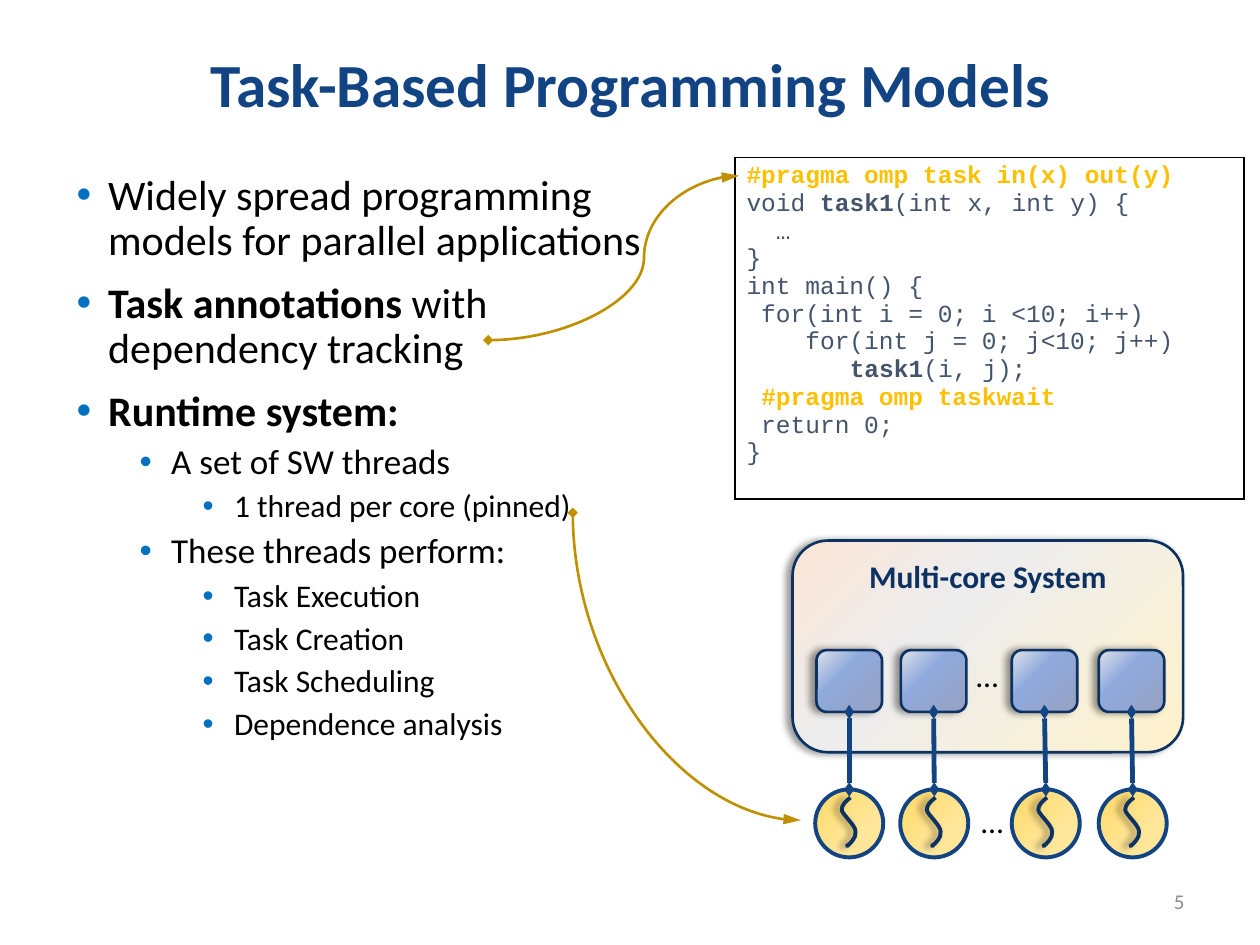
import copy
import pptx
import pptx.util
import pptx.dml.color
import pptx.enum.shapes
import pptx.enum.text
import pptx.oxml.ns
import pptx.oxml.xmlchemy

Pt = pptx.util.Pt
RGB = pptx.dml.color.RGBColor.from_string
Kind = pptx.enum.shapes.MSO_SHAPE
Link = pptx.enum.shapes.MSO_CONNECTOR
Align = pptx.enum.text.PP_ALIGN
Anchor = pptx.enum.text.MSO_ANCHOR
qn = pptx.oxml.ns.qn

# Content: ** marks bold text
TITLE = "Task-Based Programming Models"
POINTS = [
    (0, "Widely spread programming models for parallel applications"),
    (0, "**Task annotations **with dependency tracking"),
    (0, "**Runtime system:**"),
    (1, "A set of SW threads"),
    (2, "1 thread per core (pinned)"),
    (1, "These threads perform:"),
    (2, "Task Execution"),
    (2, "Task Creation"),
    (2, "Task Scheduling"),
    (2, "Dependence analysis"),
]
CODE = [
    "**#pragma omp task in(x) out(y)**",
    "void **task1**(int x, int y) {",
    "  …",
    "}",
    "int main() {",
    " for(int i = 0; i <10; i++)",
    "    for(int j = 0; j<10; j++)",
    "       **task1**(i, j);",
    " **#pragma omp taskwait**",
    " return 0;",
    "}",
]
SYSTEM, NUMBER = "Multi-core System", "5"

THEME = dict(
    font="Calibri", mono="Courier New", blue="124484", navy="0D3262",
    black="000000", white="FFFFFF", bullet="0070C0", code="44546A",
    pragma="FFC000", gold="BF9000", grey="8C8C8C",
    title=35, levels=(24, 20, 18), label=18, small=14, tiny=12,
    card=((0, "FFF2CC"), (.62, "EDEDED"), (1, "FBE5D6")),
    core=((0, "98A1C2"), (.62, "8FAADC"), (1, "E1E3EB")),
    thread=((0, "FFE699"), (.35, "FFE699"), (1, "FFD966")),
)

# Grid of 100 columns by 75 rows
deck = pptx.Presentation()
deck.slide_width, deck.slide_height = pptx.util.Inches(10), pptx.util.Inches(7.5)
UNIT = deck.slide_width / 100
# Centre lines of each core and of its thread
PAIRS = ((67.4, 67.4), (74.1, 74.15), (82.9, 83), (89.8, 89.9))
CORE_W, CORE_H, CORE_TOP = 5.2, 4.9, 51.6
DISC, DISC_TOP, WAVE_TOP = 5.4, 62.65, 63.3
DOTS = ((76.5, 51.6), (76.9, 63.2))
# Bezier points of the thread mark, from its disc's centre line
WAVE = [(.1, 0), (-.3, .3), (-.6, .6), (-.6, 1), (-.5, 1.4), (.5, 2.2),
        (.5, 2.7), (.6, 3.2), (0, 3.7), (-.1, 3.8), (-.2, 4), (-.2, 3.8),
        (-.1, 3.7)]

slide = deck.slides.add_slide(deck.slide_layouts[6])


def grid(*vals):
    return [pptx.util.Emu(round(v * UNIT)) for v in vals]


def child(node, tag, **attrs):
    kid = pptx.oxml.xmlchemy.OxmlElement("a:" + tag)
    for key, val in attrs.items():
        kid.set(key, str(val))
    node.append(kid)
    return kid


def style(para, size, color, bold=None, face="font"):
    font = para.font
    font.name, font.size, font.bold = THEME[face], Pt(size), bold
    font.color.rgb = RGB(THEME[color])


def write(para, text):
    for i, part in enumerate(text.split("**")):
        if part:
            run = para.add_run()
            run.text = part
            if i % 2:
                run.font.bold = True
            if part.startswith("#pragma"):
                run.font.color.rgb = RGB(THEME["pragma"])


def label(home, box, text, size, color, bold=None, align=Align.LEFT,
          anchor=Anchor.TOP, wrap=True):
    frame = home.add_textbox(*grid(*box)).text_frame
    frame.word_wrap, frame.vertical_anchor = wrap, anchor
    para = frame.paragraphs[0]
    para.text, para.alignment = text, align
    style(para, size, color, bold)
    return para


def trim(shape, color, width, shade=False):
    shape.line.color.rgb = RGB(THEME[color])
    shape.line.width = Pt(width)
    shape.shadow.inherit = False
    if shade:
        effect = shape._element.spPr.find(qn("a:effectLst"))
        cast = child(effect, "outerShdw", blurRad=Pt(4), dist=Pt(3),
                     dir=180 * 60000, algn="r", rotWithShape=0)
        child(child(cast, "srgbClr", val=THEME["black"]), "alpha", val=40000)


def solid(home, kind, box, stops, color, width, shade=False):
    shape = home.add_shape(kind, *grid(*box))
    shape.fill.gradient()
    shape.fill.gradient_angle = 135
    marks = shape._element.spPr.find(".//" + qn("a:gsLst"))
    marks.append(copy.deepcopy(marks[0]))
    for mark, (pos, tint) in zip(shape.fill.gradient_stops, THEME[stops]):
        mark.position, mark.color.rgb = pos, RGB(tint)
    trim(shape, color, width, shade)
    return shape


def link(home, kind, ends, color, width, head, tail):
    line = home.add_connector(kind, *grid(*ends))
    line.line.color.rgb, line.line.width = RGB(THEME[color]), Pt(width)
    edge = line.line._get_or_add_ln()
    child(edge, "headEnd", **head)
    child(edge, "tailEnd", **tail)
    child(line._element.spPr, "effectLst")
    return line


def wave(home, mid):
    pts = [grid(mid + x, WAVE_TOP + y) for x, y in WAVE]
    pen = home.build_freeform(*pts[0])
    pen.add_line_segments(pts[1:], close=False)
    mark = pen.convert_to_shape()
    # Join each three straight steps into one Bezier curve
    track = mark._element.spPr.find(".//" + qn("a:path"))
    steps = track.findall(qn("a:lnTo"))
    for k in range(0, len(steps), 3):
        curve = child(track, "cubicBezTo")
        for step in steps[k:k + 3]:
            curve.append(step[0])
            track.remove(step)
    mark.fill.background()
    trim(mark, "navy", 2.25, True)


# Title
label(slide.shapes, (5.05, 2.35, 90, 9.2), TITLE, THEME["title"], "blue", True,
      Align.CENTER, Anchor.MIDDLE).line_spacing = .9

# Bullet list
body = slide.shapes.add_textbox(*grid(5.1, 13.3, 47.2, 52.9)).text_frame
body.word_wrap = True
for i, (level, text) in enumerate(POINTS):
    para = body.add_paragraph() if i else body.paragraphs[0]
    para.level, para.line_spacing = level, .9
    if i:
        para.space_before = Pt(5 if level else 10)
    props = para._p.get_or_add_pPr()
    left, hang = grid(2.5 + 5 * level, -2.5)
    props.set("marL", str(left))
    props.set("indent", str(hang))
    child(child(props, "buClr"), "srgbClr", val=THEME["bullet"])
    child(props, "buFont", typeface="Arial")
    child(props, "buChar", char="•")
    style(para, THEME["levels"][level], "black")
    write(para, text)

# Code listing in a one-cell table
table = slide.shapes.add_table(1, 1, *grid(58.35, 12.5, 40.4, 27.1)).table
table.first_row = table.horz_banding = False
cell = table.cell(0, 0)
cell.margin_left, cell.margin_right, cell.margin_top, cell.margin_bottom = grid(
    .9, .9, .45, .45)
for side in "LRTB":
    edge = child(cell._tc.get_or_add_tcPr(), "ln" + side, w=Pt(1))
    child(child(edge, "solidFill"), "srgbClr", val=THEME["black"])
cell.fill.solid()
cell.fill.fore_color.rgb = RGB(THEME["white"])
for i, text in enumerate(CODE):
    para = cell.text_frame.add_paragraph() if i else cell.text_frame.paragraphs[0]
    style(para, THEME["small"], "code", face="mono")
    write(para, text)

# Multi-core diagram
group = slide.shapes.add_group_shape().shapes
card = solid(group, Kind.ROUNDED_RECTANGLE, (62.9, 42.9, 31, 16.8), "card",
             "navy", 1.5, True)
card.text_frame.vertical_anchor = Anchor.TOP
para = card.text_frame.paragraphs[0]
para.text, para.alignment = SYSTEM, Align.CENTER
style(para, THEME["label"], "navy", True)
slim = dict(type="diamond", w="sm")
for core, disc in PAIRS:
    solid(group, Kind.ROUNDED_RECTANGLE,
          (core - CORE_W / 2, CORE_TOP, CORE_W, CORE_H), "core", "navy", 1.5, True)
    solid(group, Kind.OVAL, (disc - DISC / 2, DISC_TOP, DISC, DISC), "thread",
          "blue", 2.25)
    wave(group, disc)
    link(group, Link.STRAIGHT, (core, CORE_TOP + CORE_H, disc, DISC_TOP), "blue",
         2.75, slim, slim)
for left, top in DOTS:
    label(group, (left, top, 3.8, 4), "…", THEME["label"], "black", wrap=False)

# Curved arrows from the list to the code and to the threads
gold = ("gold", 1.5, dict(type="diamond"), dict(type="triangle", len="lg"))
arrow = link(slide.shapes, Link.CURVE, (38.75, 27, 58.65, 13.95), *gold)
shape = arrow._element.spPr.find(qn("a:prstGeom"))
child(shape.get_or_add_avLst(), "gd", name="adj1", fmla="val 62100")
arrow = link(slide.shapes, Link.CURVE, (66.7, 43.85, 42.3, 61.95), *gold)
arrow._element.spPr.find(qn("a:prstGeom")).set("prst", "curvedConnector2")
arrow._element.spPr.find(qn("a:xfrm")).set("rot", str(270 * 60000))

# Slide number
label(slide.shapes, (71.7, 69.5, 23.3, 4), NUMBER, THEME["tiny"], "grey",
      align=Align.RIGHT, anchor=Anchor.MIDDLE)

deck.save("out.pptx")
